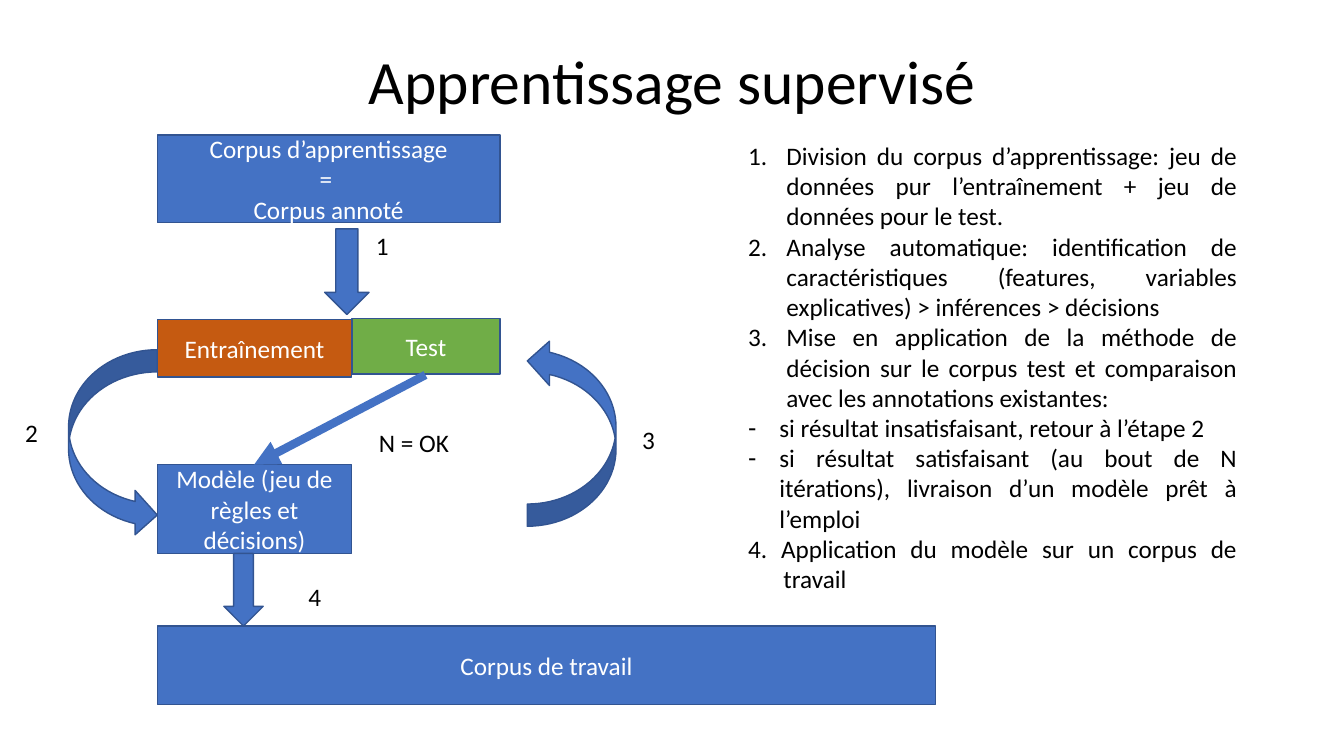
"""Build the slide on supervised learning: workflow diagram and numbered steps."""
from lxml import etree
from pptx import Presentation
from pptx.dml.color import RGBColor
from pptx.enum.shapes import MSO_CONNECTOR, MSO_SHAPE
from pptx.enum.text import MSO_ANCHOR, MSO_AUTO_SIZE, PP_ALIGN
from pptx.oxml.ns import qn
from pptx.util import Pt

PX = 9144
BLUE, EDGE, WHITE, BLACK = "4472C4", "325491", "FFFFFF", "000000"
RECT, DOWN, CURVED = MSO_SHAPE.RECTANGLE, MSO_SHAPE.DOWN_ARROW, MSO_SHAPE.CURVED_RIGHT_ARROW
CENTER, JUSTIFY, MIDDLE = PP_ALIGN.CENTER, PP_ALIGN.JUSTIFY, MSO_ANCHOR.MIDDLE
NO_FIT, STRAIGHT = MSO_AUTO_SIZE.NONE, MSO_CONNECTOR.STRAIGHT


def rgb(color):
    """Turn a hex string into a colour."""
    return RGBColor.from_string(color)


def style(tf, size, color, align=None):
    """Format every paragraph of a text frame."""
    tf.word_wrap = True
    for p in tf.paragraphs:
        p.alignment = align
        for r in p.runs:
            r.font.name = "Calibri"
            r.font.size = Pt(size)
            r.font.color.rgb = rgb(color)


prs = Presentation()
prs.slide_width, prs.slide_height = 1333 * PX, 750 * PX
s = prs.slides.add_slide(prs.slide_layouts[1])
title, body = s.placeholders

title.left, title.top, title.width, title.height = [v * PX for v in (92, 40, 1150, 88)]
tf = title.text_frame
tf.text = "Apprentissage supervisé"
tf.auto_size = NO_FIT
tf.vertical_anchor = MIDDLE
tf.paragraphs[0].line_spacing = 0.9
style(tf, 44, BLACK, CENTER)

shapes = [
    (RECT, 156, 134, 340, 87, BLUE, 0, "Corpus d’apprentissage\n= \nCorpus annoté"),
    (RECT, 156, 317, 193, 57, "C55A11", 0, "Entraînement"),
    (RECT, 349, 316, 147, 55, "70AD47", 0, "Test"),
    (RECT, 156, 461, 193, 88, BLUE, 0, "Modèle (jeu de règles et décisions)"),
    (RECT, 156, 621, 772, 78, BLUE, 0, "Corpus de travail"),
    (CURVED, 68, 347, 88, 186, BLUE, 0, ""),
    (CURVED, 523, 336, 88, 186, BLUE, 180, ""),
    (DOWN, 222, 549, 39, 72, BLUE, 0, ""),
    (DOWN, 322, 227, 44, 85, BLUE, 0, ""),
]
for kind, x, y, w, h, fill, rotation, text in shapes:
    sp = s.shapes.add_shape(kind, x * PX, y * PX, w * PX, h * PX)
    sp.shadow.inherit = False
    sp.rotation = rotation
    sp.fill.solid()
    sp.fill.fore_color.rgb = rgb(fill)
    sp.line.color.rgb = rgb(EDGE)
    sp.line.width = Pt(1)
    if text:
        sp.text_frame.text = text
        sp.text_frame.vertical_anchor = MIDDLE
        style(sp.text_frame, 18, WHITE, CENTER)

arrow = s.shapes.add_connector(STRAIGHT, 422 * PX, 372 * PX, 252 * PX, 461 * PX)
arrow.line.color.rgb = rgb(BLUE)
arrow.line.width = Pt(6)
etree.SubElement(arrow.line._get_or_add_ln(), qn("a:tailEnd"), type="triangle")
etree.SubElement(arrow._element.spPr, qn("a:effectLst"))

labels = [
    (363, 224, 44, "1"),
    (15, 409, 39, "2"),
    (627, 416, 50, "3"),
    (366, 419, 115, "N = OK"),
    (296, 572, 33, "4"),
]
for x, y, w, text in labels:
    label = s.shapes.add_textbox(x * PX, y * PX, w * PX, 40 * PX)
    label.text_frame.text = text
    style(label.text_frame, 18, BLACK)

NUMBER = ("a:buAutoNum", {"type": "arabicPeriod"}, 38)
DASH = ("a:buChar", {"char": "-"}, 31)
PLAIN = ("a:buNone", {}, 35)
steps = [
    (NUMBER, "Division du corpus d’apprentissage: jeu de données pur l’entraînement + jeu de données pour le test."),
    (NUMBER, "Analyse automatique: identification de caractéristiques (features, variables explicatives) > inférences > décisions"),
    (NUMBER, "Mise en application de la méthode de décision sur le corpus test et comparaison avec les annotations existantes:"),
    (DASH, "si résultat insatisfaisant, retour à l’étape 2"),
    (DASH, "si résultat satisfaisant (au bout de N itérations), livraison d’un modèle prêt à l’emploi"),
    (PLAIN, "4. Application du modèle sur un corpus de travail"),
]
body.left, body.top, body.width, body.height = [v * PX for v in (732, 134, 505, 495)]
tf = body.text_frame
tf.text = "\n".join(text for _, text in steps)
tf.auto_size = NO_FIT
for p, ((tag, attributes, indent), _) in zip(tf.paragraphs, steps):
    pPr = p._p.get_or_add_pPr()
    pPr.set("marL", str(indent * PX))
    pPr.set("indent", str(-indent * PX))
    etree.SubElement(pPr, qn(tag), attributes)
    p.space_before = Pt(0)
style(tf, 18, BLACK, JUSTIFY)

prs.save("out.pptx")
